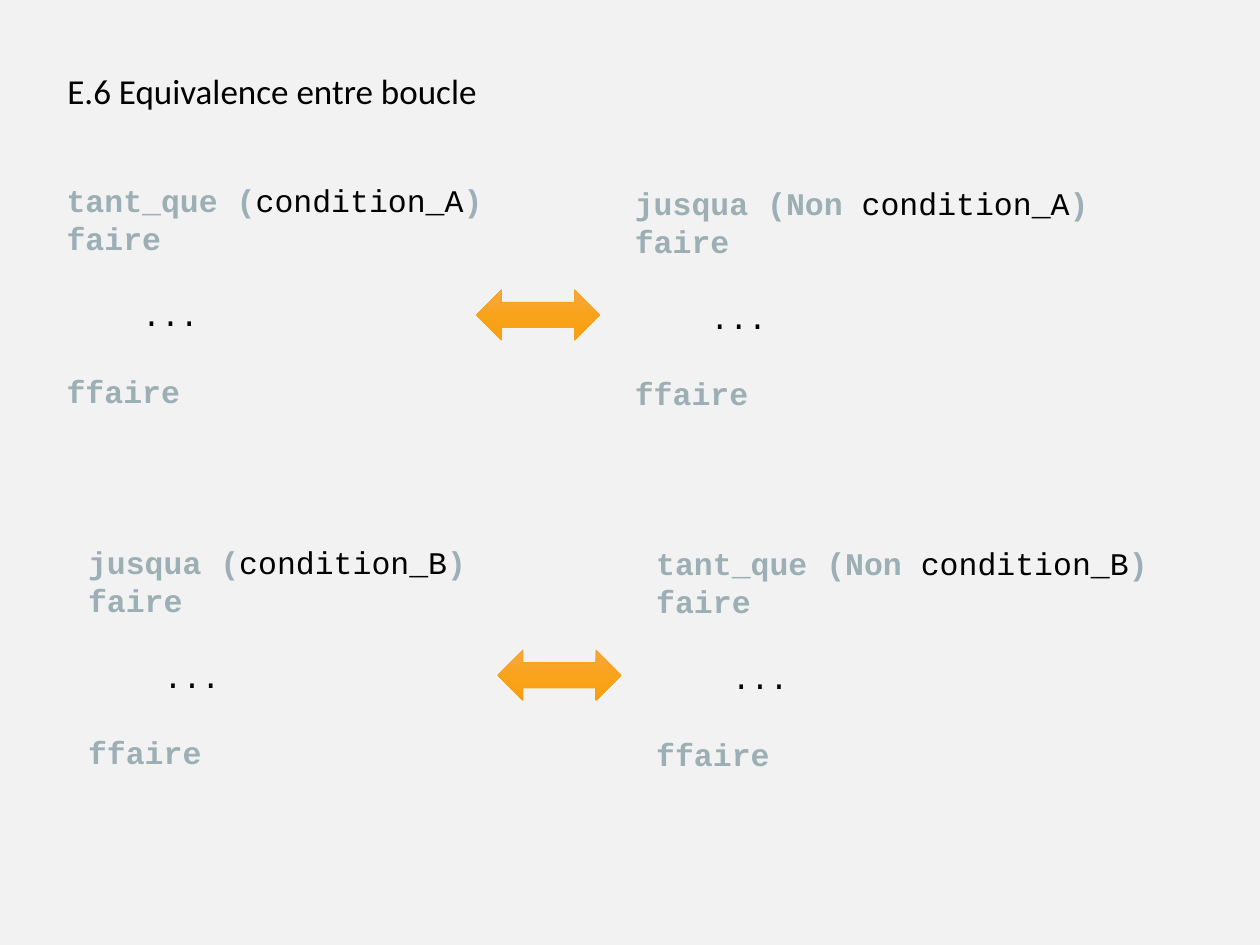
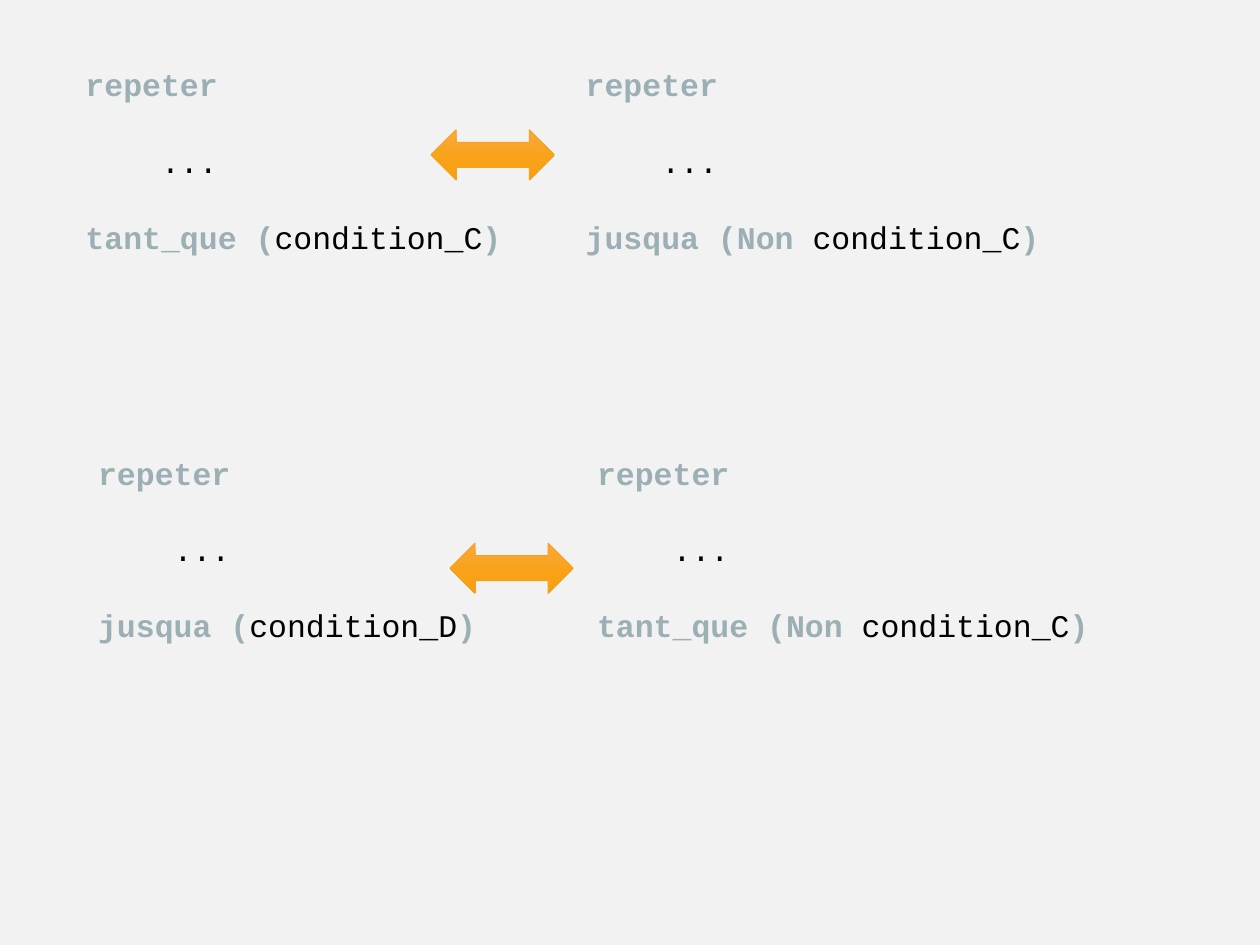
from copy import deepcopy
from pptx import Presentation
from pptx.dml.color import RGBColor
from pptx.enum.shapes import MSO_SHAPE
from pptx.enum.text import MSO_ANCHOR, MSO_AUTO_SIZE, PP_ALIGN
from pptx.util import Inches, Pt

TITLE = "E.6 Equivalence entre boucle"
# Each test is (text before, condition); a closing bracket follows.
# Places are left and top in inches: left code, right code, arrow.
SLIDES = [
    {"title": TITLE, "form": "while", "pairs": [
        ((("tant_que (", "condition_A"), ("jusqua (Non ", "condition_A")),
         ((0.43, 1.39), (4.94, 1.41), (3.78, 2.3))),
        ((("jusqua (", "condition_B"), ("tant_que (Non ", "condition_B")),
         ((0.6, 4.26), (5.11, 4.27), (3.95, 5.16)))]},
    {"title": None, "form": "repeat", "pairs": [
        ((("tant_que (", "condition_C"), ("jusqua (Non ", "condition_C")),
         ((0.58, 0.47), (4.55, 0.47), (3.42, 1.03))),
        ((("jusqua (", "condition_D"), ("tant_que (Non ", "condition_C")),
         ((0.68, 3.55), (4.64, 3.55), (3.57, 4.31)))]},
]
# Lines of each loop form: (text, blank line above); None stands for the test.
FORMS = {
    "while": [(None, 0), ("faire", 0), ("    ...", 1), ("ffaire", 1)],
    "repeat": [("repeter", 0), ("    ...", 1), (None, 1)],
}
BACK, INK, GREY, EDGE = "F2F2F2", "000000", "9BAFB5", "F6A21D"
GLOW = [(0, "F7A942"), (0.5, "F9A31A"), (1, "F99E0F")]
CODE = {"name": "Courier New", "size": Pt(18)}
HEAD = {"name": "Calibri", "size": Pt(20), "bold": False}
GAP = Pt(22)
ARROW = (0.98, 0.4)


def rgb(code):
    return RGBColor.from_string(code)


def style(font, form, color):
    for key, value in form.items():
        setattr(font, key, value)
    font.color.rgb = rgb(color)


def add_run(para, text, key):
    """Add code text, bold grey for a keyword and plain black otherwise."""
    run = para.add_run()
    run.text = text
    style(run.font, {**CODE, "bold": key}, GREY if key else INK)


def add_code(shapes, place, form, test):
    lead, cond = test
    lines = FORMS[form]
    rows = len(lines) + sum(gap for _, gap in lines)
    wide = 0.2 + len(lead + cond + ")") / 6.6
    box = shapes.add_textbox(*map(Inches, (*place, wide, 0.12 + 0.3 * rows)))
    frame = box.text_frame
    frame.word_wrap = False
    frame.auto_size = MSO_AUTO_SIZE.SHAPE_TO_FIT_TEXT
    for i, (text, gap) in enumerate(lines):
        para = frame.add_paragraph() if i else frame.paragraphs[0]
        if gap:
            para.space_before = GAP
        if text is None:
            add_run(para, lead, True)
            add_run(para, cond, False)
            add_run(para, ")", True)
        else:
            add_run(para, text, "..." not in text)


def add_arrow(shapes, place):
    arrow = shapes.add_shape(MSO_SHAPE.LEFT_RIGHT_ARROW,
                             *map(Inches, (*place, *ARROW)))
    arrow.shadow.inherit = False
    arrow.line.color.rgb = rgb(EDGE)
    arrow.line.width = Pt(0.5)
    arrow.fill.gradient()
    arrow.fill.gradient_angle = 270
    stops = arrow._element.spPr.xpath("./a:gradFill/a:gsLst")[0]
    stops.insert(1, deepcopy(stops[0]))
    for stop, (pos, color) in zip(arrow.fill.gradient_stops, GLOW):
        stop.position = pos
        stop.color.rgb = rgb(color)


def set_title(slide, text):
    title = slide.shapes.title
    spot = {"left": 0.43, "top": 0.5, "width": 3.46, "height": 0.44}
    for key, value in spot.items():
        setattr(title, key, Inches(value))
    frame = title.text_frame
    frame.text = text
    frame.word_wrap = False
    frame.auto_size = MSO_AUTO_SIZE.SHAPE_TO_FIT_TEXT
    frame.vertical_anchor = MSO_ANCHOR.TOP
    para = frame.paragraphs[0]
    para.alignment = PP_ALIGN.CENTER
    style(para.runs[0].font, HEAD, INK)


def main():
    prs = Presentation()
    prs.slide_width, prs.slide_height = Inches(10), Inches(7.5)
    fill = prs.slide_master.background.fill
    fill.solid()
    fill.fore_color.rgb = rgb(BACK)
    for page in SLIDES:
        slide = prs.slides.add_slide(prs.slide_layouts[5 if page["title"] else 6])
        if page["title"]:
            set_title(slide, page["title"])
        for tests, places in page["pairs"]:
            shapes = slide.shapes.add_group_shape().shapes
            for test, place in zip(tests, places):
                add_code(shapes, place, page["form"], test)
            add_arrow(shapes, places[-1])
    prs.save("out.pptx")


if __name__ == "__main__":
    main()
